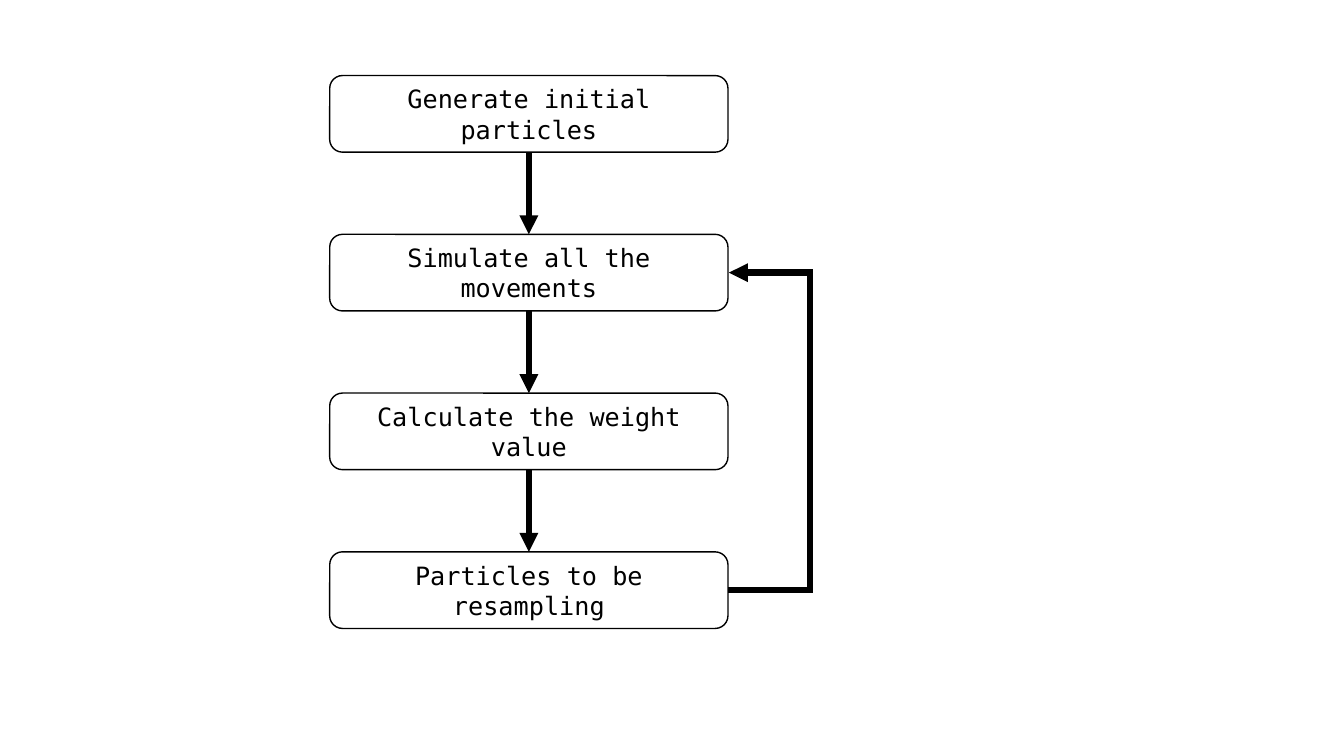
from lxml import etree
from pptx import Presentation
from pptx import util as u
from pptx.dml.color import RGBColor
from pptx.enum import shapes, text
from pptx.oxml.ns import qn

COLORS = {"ink": "000000"}
STEPS = [
    "Generate initial particles",
    "Simulate all the movements",
    "Calculate the weight value",
    "Particles to be resampling",
]
LEFT, TOP, WIDE, HIGH = 3.27, 0.75, 3.95, 0.76
PITCH = 1.575
BEND = 0.83  # how far the loop runs out to the right
GAP = 0.01   # the bend is stored as a multiple of this width


class Chart:
    """Flow chart style and the slide it is drawn on."""

    font, size = "DejaVu Sans Mono", 18

    def __init__(self, slide):
        self.shapes = slide.shapes
        self.ink = RGBColor.from_string(COLORS["ink"])

    def box(self, label, top):
        box = self.shapes.add_shape(
            shapes.MSO_SHAPE.ROUNDED_RECTANGLE,
            *map(u.Inches, (LEFT, top, WIDE, HIGH)))
        box.shadow.inherit = False
        box.fill.background()
        box.line.color.rgb = self.ink
        box.line.width = u.Pt(1)
        frame = box.text_frame
        frame.word_wrap = True
        frame.vertical_anchor = text.MSO_ANCHOR.MIDDLE
        para = frame.paragraphs[0]
        para.alignment = text.PP_ALIGN.CENTER
        run = para.add_run()
        run.text = label
        run.font.name, run.font.size = self.font, u.Pt(self.size)
        run.font.color.rgb = self.ink
        return box

    def arrow(self, kind, *ends):
        """Draw a thick arrow from x, y to x, y."""
        link = self.shapes.add_connector(kind, *map(u.Inches, ends))
        link.line.color.rgb = self.ink
        link.line.width = u.Pt(4.5)
        line = link.line._get_or_add_ln()
        etree.SubElement(line, qn("a:miter"), lim="800000")
        etree.SubElement(line, qn("a:tailEnd"), type="triangle")
        etree.SubElement(link._element.spPr, qn("a:effectLst"))
        return link

    def down(self, first, second):
        link = self.arrow(shapes.MSO_CONNECTOR.STRAIGHT, 0, 0, 0, 0)
        link.begin_connect(first, 2)
        link.end_connect(second, 0)

    def loop(self, start, end):
        """Lead back from height start to height end, right of the boxes."""
        side = LEFT + WIDE
        link = self.arrow(
            shapes.MSO_CONNECTOR.ELBOW, side, start, side + GAP, end)
        guides = link._element.spPr.prstGeom.get_or_add_avLst()
        ratio = round(BEND / GAP * 100000)
        etree.SubElement(guides, qn("a:gd"), name="adj1", fmla=f"val {ratio}")


def main():
    deck = Presentation()
    deck.slide_width, deck.slide_height = u.Inches(13.33), u.Inches(7.5)
    chart = Chart(deck.slides.add_slide(deck.slide_layouts[6]))
    tops = [TOP + PITCH * i for i in range(len(STEPS))]
    boxes = [chart.box(step, top) for step, top in zip(STEPS, tops)]
    for first, second in zip(boxes, boxes[1:]):
        chart.down(first, second)
    chart.loop(tops[3] + HIGH / 2, tops[1] + HIGH / 2)
    deck.save("out.pptx")


if __name__ == "__main__":
    main()
